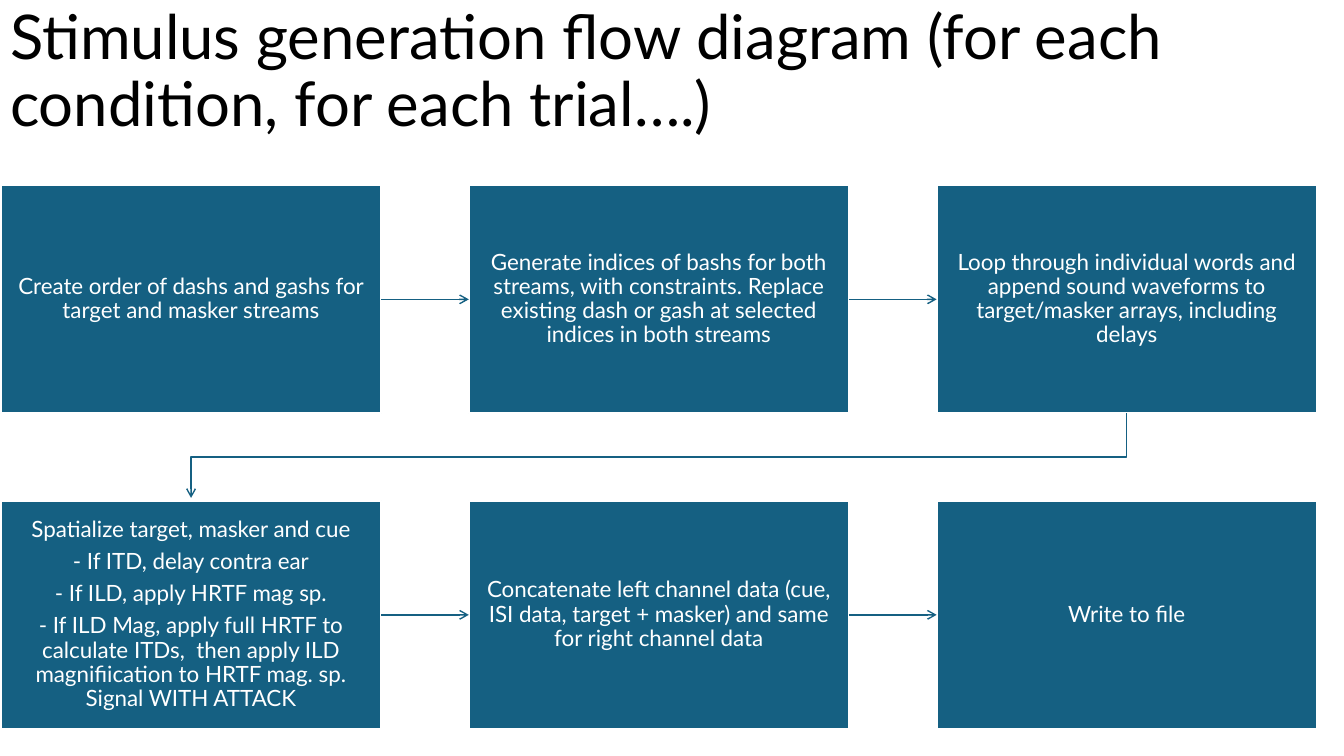
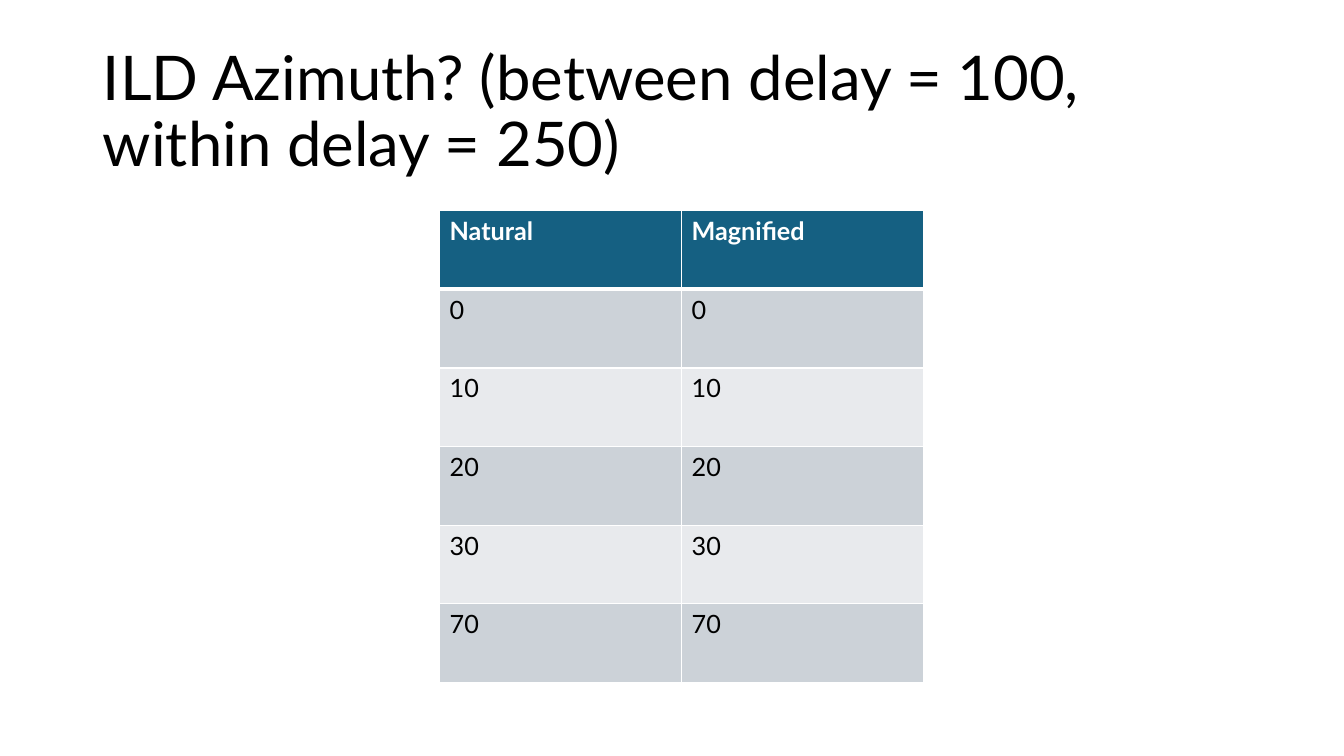
from lxml import etree
from pptx import Presentation
from pptx.dml.color import RGBColor
from pptx.enum.shapes import MSO_CONNECTOR, MSO_SHAPE
from pptx.enum.text import MSO_ANCHOR, MSO_AUTO_SIZE, PP_ALIGN
from pptx.oxml.ns import qn
from pptx.util import Inches, Pt

LEFT, CENTER = PP_ALIGN.LEFT, PP_ALIGN.CENTER
MIDDLE = MSO_ANCHOR.MIDDLE
NO_AUTOFIT = MSO_AUTO_SIZE.NONE
RECT = MSO_SHAPE.RECTANGLE
STRAIGHT = MSO_CONNECTOR.STRAIGHT

FONT = "Lato"
COLORS = {
    "accent": "156082",
    "white": "FFFFFF",
    "black": "000000",
    "band_dark": "CCD2D8",
    "band_light": "E8EAED",
}
TITLE_ONLY = 5

BOX_W, BOX_H = 3.77, 2.26
BOX_LEFT, BOX_TOP = 0.01, 1.84
STEP_X, STEP_Y = 4.64, 3.13
ARROW_GAP = 0.03
STEPS = [
    [
        ["Create order of dashs and gashs for target and masker streams"],
        ["Generate indices of bashs for both streams, with constraints. "
         "Replace existing dash or gash at selected indices in both streams"],
        ["Loop through individual words and append sound waveforms to "
         "target/masker arrays, including delays"],
    ],
    [
        ["Spatialize target, masker and cue",
         "- If ITD, delay contra ear",
         "- If ILD, apply HRTF mag sp.",
         "- If ILD Mag, apply full HRTF to calculate ITDs,  then apply ILD "
         "magnifiication to HRTF mag. sp. Signal WITH ATTACK"],
        ["Concatenate left channel data (cue, ISI data, target + masker) "
         "and same for right channel data"],
        ["Write to file"],
    ],
]

AZIMUTHS = [("Natural", "Magnified")] + [(a, a) for a in ("0", "10", "20", "30", "70")]


def rgb(name):
    return RGBColor.from_string(COLORS[name])


def write(tf, *lines, size=18, color="black", bold=False, align=LEFT,
          spacing=None, after=None):
    for i, line in enumerate(lines):
        p = tf.paragraphs[0] if i == 0 else tf.add_paragraph()
        p.alignment = align
        p.line_spacing = spacing
        p.space_after = after
        r = p.add_run()
        r.text = line
        r.font.name = FONT
        r.font.size = Pt(size)
        r.font.bold = bold
        r.font.color.rgb = rgb(color)


def add_slide(prs, title, left, top, width, height):
    s = prs.slides.add_slide(prs.slide_layouts[TITLE_ONLY])
    sp = s.shapes.title
    sp.left, sp.top = Inches(left), Inches(top)
    sp.width, sp.height = Inches(width), Inches(height)
    tf = sp.text_frame
    tf.word_wrap = True
    tf.auto_size = NO_AUTOFIT
    tf.vertical_anchor = MIDDLE
    write(tf, title, size=44, spacing=0.9)
    return s


def add_box(s, lines, left, top):
    sp = s.shapes.add_shape(RECT, Inches(left), Inches(top), Inches(BOX_W), Inches(BOX_H))
    sp.shadow.inherit = False
    sp.fill.solid()
    sp.fill.fore_color.rgb = rgb("accent")
    sp.line.color.rgb = rgb("white")
    sp.line.width = Pt(1.5)
    tf = sp.text_frame
    tf.word_wrap = True
    tf.vertical_anchor = MIDDLE
    tf.margin_left = tf.margin_right = tf.margin_top = tf.margin_bottom = Inches(0.12)
    write(tf, *lines, size=16, color="white", align=CENTER, spacing=0.9, after=Pt(5.6))
    return sp


def style_arrow(sp):
    sp.line.color.rgb = rgb("accent")
    sp.line.width = Pt(1)
    etree.SubElement(sp.line._get_or_add_ln(), qn("a:tailEnd"), type="arrow")


def join(s, source, target):
    """Arrow from the right side of source to the left side of target."""
    c = s.shapes.add_connector(STRAIGHT, 0, 0, 0, 0)
    c.begin_connect(source, 3)
    c.end_connect(target, 1)
    style_arrow(c)
    etree.SubElement(c._element.spPr, qn("a:effectLst"))


def add_row_break(s, source, target):
    """Bent arrow from the bottom of source to just above the top of target."""
    x1, x2 = (b.left + b.width // 2 for b in (source, target))
    y1, y2 = source.top + source.height, target.top
    middle = (y1 + y2) // 2
    builder = s.shapes.build_freeform(x1, y1)
    builder.add_line_segments(
        [(x1, middle), (x2, middle), (x2, y2 - Inches(ARROW_GAP))], close=False)
    sp = builder.convert_to_shape()
    sp.shadow.inherit = False
    sp.fill.background()
    style_arrow(sp)


def set_borders(cell, top=1, bottom=1):
    tcPr = cell._tc.get_or_add_tcPr()
    widths = {"a:lnL": 1, "a:lnR": 1, "a:lnT": top, "a:lnB": bottom}
    for i, (tag, width) in enumerate(widths.items()):
        ln = etree.Element(qn(tag), w=str(Pt(width)))
        fill = etree.SubElement(ln, qn("a:solidFill"))
        etree.SubElement(fill, qn("a:srgbClr"), val=COLORS["white"])
        tcPr.insert(i, ln)


def add_table(s, rows, left, top, col_width, row_height):
    n_rows, n_cols = len(rows), len(rows[0])
    table = s.shapes.add_table(
        n_rows, n_cols, Inches(left), Inches(top),
        Inches(col_width * n_cols), Inches(row_height * n_rows)).table
    for i, row in enumerate(rows):
        table.rows[i].height = Inches(row_height)
        header = i == 0
        band = "accent" if header else ("band_light", "band_dark")[i % 2]
        for j, text in enumerate(row):
            cell = table.cell(i, j)
            cell.fill.solid()
            cell.fill.fore_color.rgb = rgb(band)
            set_borders(cell, top=3 if i == 1 else 1, bottom=3 if header else 1)
            write(cell.text_frame, text, color="white" if header else "black", bold=header)


def build_flow(prs):
    s = add_slide(prs, "Stimulus generation flow diagram (for each condition, "
                       "for each trial….)", 0, 0, 13.33, 1.45)
    boxes = [[add_box(s, lines, BOX_LEFT + j * STEP_X, BOX_TOP + i * STEP_Y)
              for j, lines in enumerate(row)] for i, row in enumerate(STEPS)]
    for row in boxes:
        for source, target in zip(row, row[1:]):
            join(s, source, target)
    add_row_break(s, boxes[0][-1], boxes[1][0])


def build_azimuths(prs):
    s = add_slide(prs, "ILD Azimuth? (between delay = 100, within delay = 250)",
                  0.92, 0.4, 11.5, 1.45)
    add_table(s, AZIMUTHS, 4.36, 2.09, 2.4, 0.78)


def main():
    prs = Presentation()
    prs.slide_width, prs.slide_height = Inches(13.33), Inches(7.5)
    build_flow(prs)
    build_azimuths(prs)
    prs.save("out.pptx")


if __name__ == "__main__":
    main()
